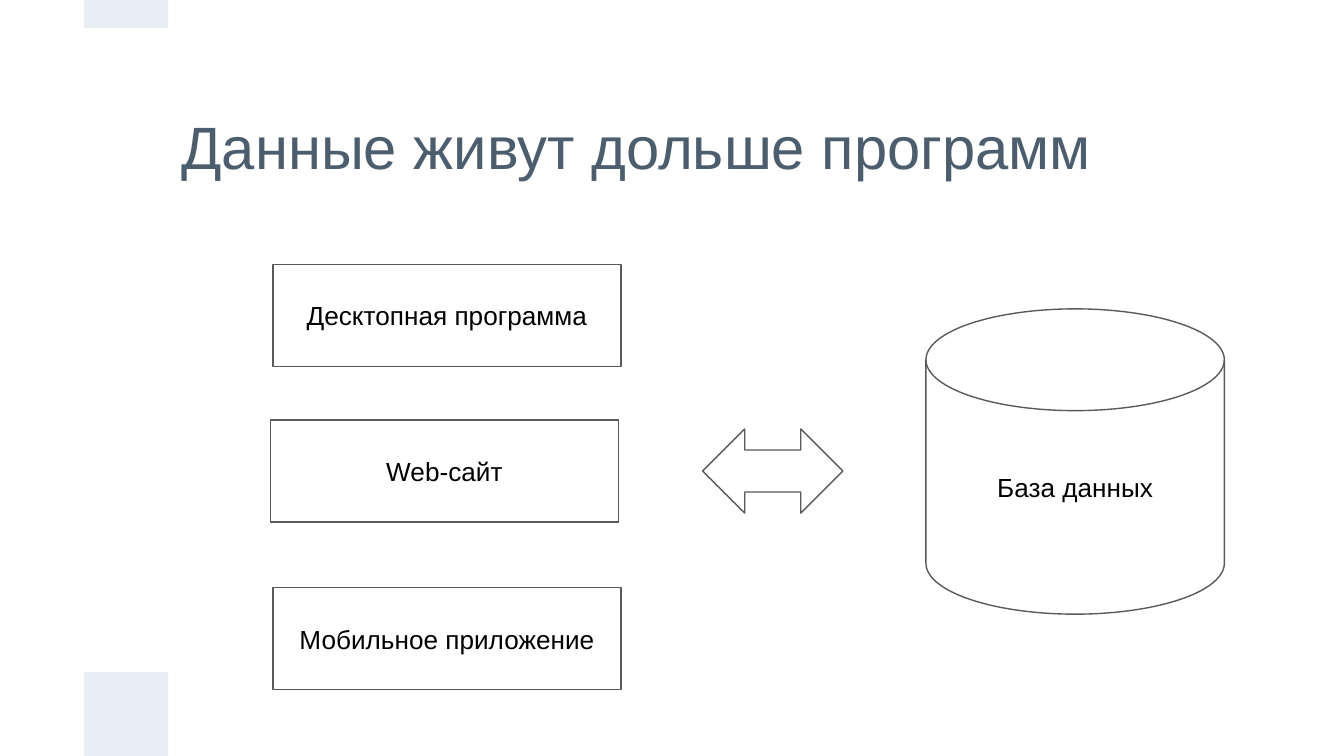
from pptx import Presentation
from pptx.dml.color import RGBColor
from pptx.enum.shapes import MSO_SHAPE
from pptx.enum.text import MSO_ANCHOR, PP_ALIGN
from pptx.util import Cm, Pt

THEME = {
    "font": "Arial",
    "title": {"size": Pt(32), "color": RGBColor.from_string("4C5D6E")},
    "label": {"size": Pt(14), "color": RGBColor.from_string("000000")},
    "accent": RGBColor.from_string("E9EDF4"),
    "outline": RGBColor.from_string("595959"),
    "outline_width": Pt(0.75),
}

TITLE = ("Данные живут дольше программ", (3.18, 1.59, 19.05, 2.31))
ACCENTS = [(1.59, 12.7, 1.59, 1.59), (1.59, 0, 1.59, 0.53)]
CLIENT_SIZE = (6.58, 1.93)
CLIENTS = [
    ("Десктопная программа", 5.16, 5.0),
    ("Web-сайт", 5.11, 7.94),
    ("Мобильное приложение", 5.16, 11.11),
]
DATABASE = ("База данных", (17.5, 5.84, 5.64, 5.77))
EXCHANGE = (13.28, 8.11, 2.65, 1.59)


def set_text(sp, text, style, align):
    tf = sp.text_frame
    frame = {"word_wrap": True, "vertical_anchor": MSO_ANCHOR.MIDDLE}
    for side in ("left", "top", "right", "bottom"):
        frame[f"margin_{side}"] = Cm(0.25)
    for name, value in frame.items():
        setattr(tf, name, value)
    p = tf.paragraphs[0]
    p.alignment = align
    r = p.add_run()
    r.text = text
    for name, value in {"name": THEME["font"], "size": style["size"]}.items():
        setattr(r.font, name, value)
    r.font.color.rgb = style["color"]


def add_shape(s, kind, box, fill=None, text=None):
    sp = s.shapes.add_shape(kind, *map(Cm, box))
    sp.shadow.inherit = False
    if fill:
        sp.fill.solid()
        sp.fill.fore_color.rgb = fill
        sp.line.fill.background()
    else:
        sp.fill.background()
        sp.line.color.rgb = THEME["outline"]
        sp.line.width = THEME["outline_width"]
    if text:
        set_text(sp, text, THEME["label"], PP_ALIGN.CENTER)
    return sp


def main():
    prs = Presentation()
    prs.slide_width, prs.slide_height = Cm(25.4), Cm(14.29)
    s = prs.slides.add_slide(prs.slide_layouts[6])

    title, title_box = TITLE
    set_text(s.shapes.add_textbox(*map(Cm, title_box)), title, THEME["title"], PP_ALIGN.LEFT)
    for box in ACCENTS:
        add_shape(s, MSO_SHAPE.RECTANGLE, box, fill=THEME["accent"])

    name, box = DATABASE
    add_shape(s, MSO_SHAPE.FLOWCHART_MAGNETIC_DISK, box, text=name)
    for name, left, top in CLIENTS:
        add_shape(s, MSO_SHAPE.RECTANGLE, (left, top, *CLIENT_SIZE), text=name)
    add_shape(s, MSO_SHAPE.LEFT_RIGHT_ARROW, EXCHANGE)

    prs.save("out.pptx")


if __name__ == "__main__":
    main()
